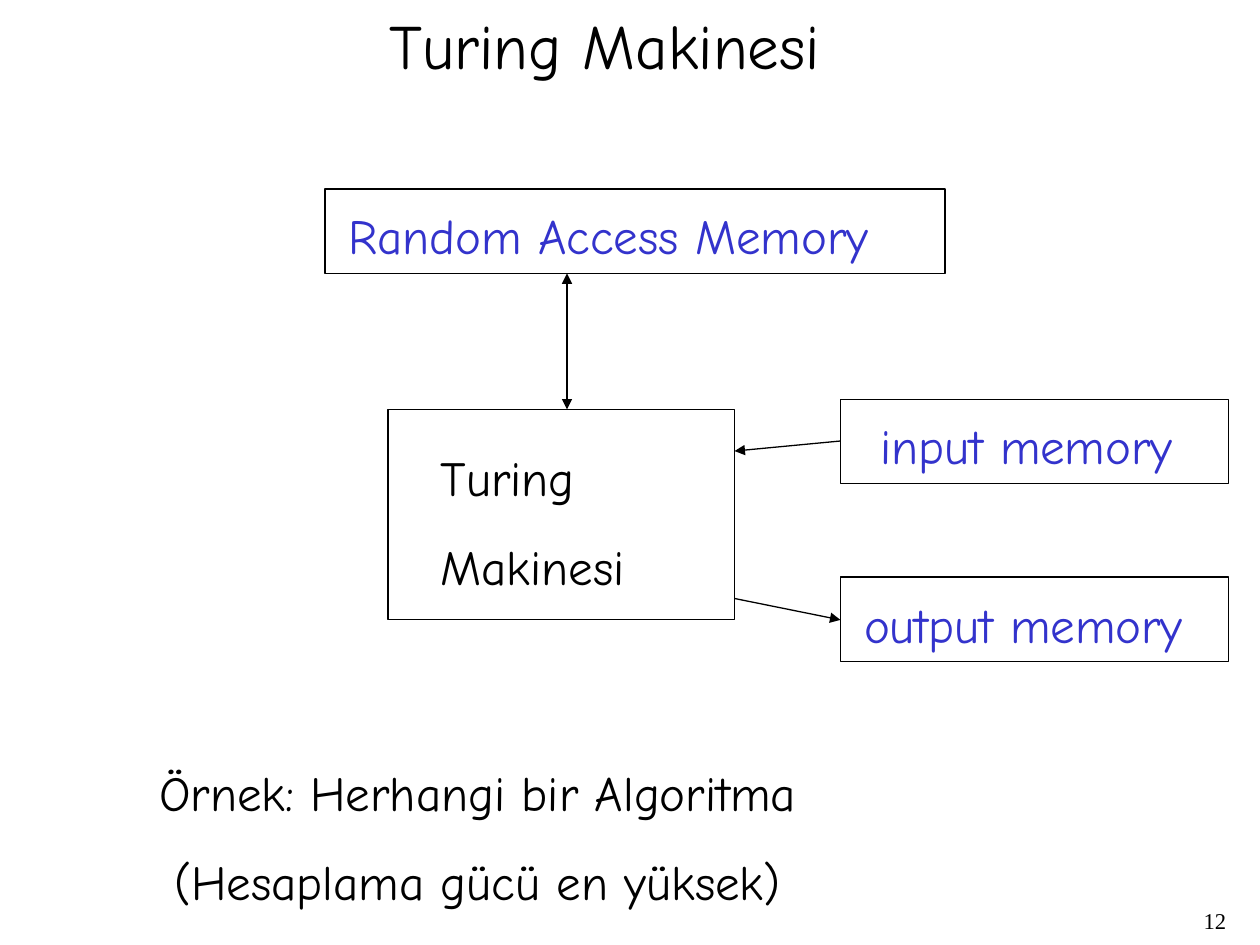
from lxml import etree
from pptx import Presentation
from pptx.dml.color import RGBColor
from pptx.enum.shapes import MSO_CONNECTOR, MSO_SHAPE
from pptx.enum.text import MSO_ANCHOR, PP_ALIGN
from pptx.oxml.ns import qn
from pptx.util import Inches, Pt

RECTANGLE = MSO_SHAPE.RECTANGLE
STRAIGHT = MSO_CONNECTOR.STRAIGHT
TOP = MSO_ANCHOR.TOP
LEFT, CENTER, RIGHT = PP_ALIGN.LEFT, PP_ALIGN.CENTER, PP_ALIGN.RIGHT

COLORS = {"ink": "000000", "memory": "3333CC"}
BODY_FONT, NUMBER_FONT = "Comic Neue", "Times New Roman"
LINE_WIDTH = Pt(0.75)


def color(name):
    return RGBColor.from_string(COLORS[name])


def write(frame, lines, size=28, ink="ink", align=LEFT, font=BODY_FONT, before=17.5):
    """Fill a text frame with one paragraph per line."""
    frame.word_wrap = False
    frame.vertical_anchor = TOP
    for i, line in enumerate(lines):
        paragraph = frame.add_paragraph() if i else frame.paragraphs[0]
        paragraph.text = line
        paragraph.alignment = align
        paragraph.space_before = Pt(before)
        paragraph.font.name = font
        paragraph.font.size = Pt(size)
        paragraph.font.color.rgb = color(ink)


def add_text(slide, box, lines, **style):
    text = slide.shapes.add_textbox(*map(Inches, box))
    write(text.text_frame, lines, **style)
    return text


def add_title(slide, box, wording):
    title = slide.shapes.title
    title.left, title.top, title.width, title.height = map(Inches, box)
    write(title.text_frame, [wording], size=36, before=22.5)


def add_unit(slide, box, lines, label_offset, label_size, ink):
    """Draw an outlined box and its label, offset from the box corner."""
    frame = slide.shapes.add_shape(RECTANGLE, *map(Inches, box))
    frame.shadow.inherit = False
    frame.fill.background()
    frame.line.color.rgb = color("ink")
    frame.line.width = LINE_WIDTH
    left, top = box[0] + label_offset[0], box[1] + label_offset[1]
    add_text(slide, (left, top, *label_size), lines, ink=ink)


def add_arrow(slide, start, end, both_ways=False):
    arrow = slide.shapes.add_connector(STRAIGHT, *map(Inches, (*start, *end)))
    arrow.line.color.rgb = color("ink")
    arrow.line.width = LINE_WIDTH
    line = arrow.line._get_or_add_ln()
    for tip in ("a:headEnd", "a:tailEnd") if both_ways else ("a:tailEnd",):
        etree.SubElement(line, qn(tip), type="triangle")
    etree.SubElement(arrow._element.spPr, qn("a:effectLst"))


def add_machine_diagram(slide, left, top):
    """Draw the machine and its three memories from the top-left corner given."""
    ram = (left, top, 4.92, 0.67)
    machine = (left + 0.5, top + 1.75, 2.75, 1.67)
    memory_left = left + 4.09
    input_memory = (memory_left, top + 1.67, 3.08, 0.67)
    output_memory = (memory_left, top + 3.08, 3.08, 0.67)

    add_unit(slide, ram, ["Random Access Memory"], (0.09, 0.08), (4.67, 0.57), "memory")
    add_unit(slide, input_memory, ["input memory"], (0.22, 0.08), (2.52, 0.57), "memory")
    add_unit(slide, output_memory, ["output memory"], (0.09, 0.09), (2.73, 0.57), "memory")
    add_unit(slide, machine, ["Turing", "Makinesi"], (0.32, 0.25), (1.66, 1.28), "ink")

    bus = left + 1.92
    machine_right = machine[0] + machine[2]
    add_arrow(slide, (bus, top + ram[3]), (bus, machine[1]), both_ways=True)
    add_arrow(slide, (memory_left, top + 2), (machine_right, top + 2.08))
    add_arrow(slide, (machine_right, top + 3.25), (memory_left, top + 3.42))


def add_slide_number(slide, box, number):
    text = add_text(slide, box, [number], size=12.9, align=RIGHT,
                    font=NUMBER_FONT, before=0)
    text.text_frame.word_wrap = True
    text.text_frame.paragraphs[0].line_spacing = 0.9


def main():
    presentation = Presentation()
    presentation.slide_width, presentation.slide_height = Inches(10), Inches(7.5)
    slide = presentation.slides.add_slide(presentation.slide_layouts.get_by_name("Title Only"))
    add_title(slide, (2.99, 0, 3.62, 0.7), "Turing Makinesi")
    add_machine_diagram(slide, 2.58, 1.5)
    add_text(slide, (1.1, 6, 5.38, 1.28),
             ["Örnek: Herhangi bir Algoritma", "(Hesaplama gücü en yüksek)"], align=CENTER)
    add_slide_number(slide, (7.75, 7.17, 2.08, 0.33), "12")
    presentation.save("out.pptx")


if __name__ == "__main__":
    main()
